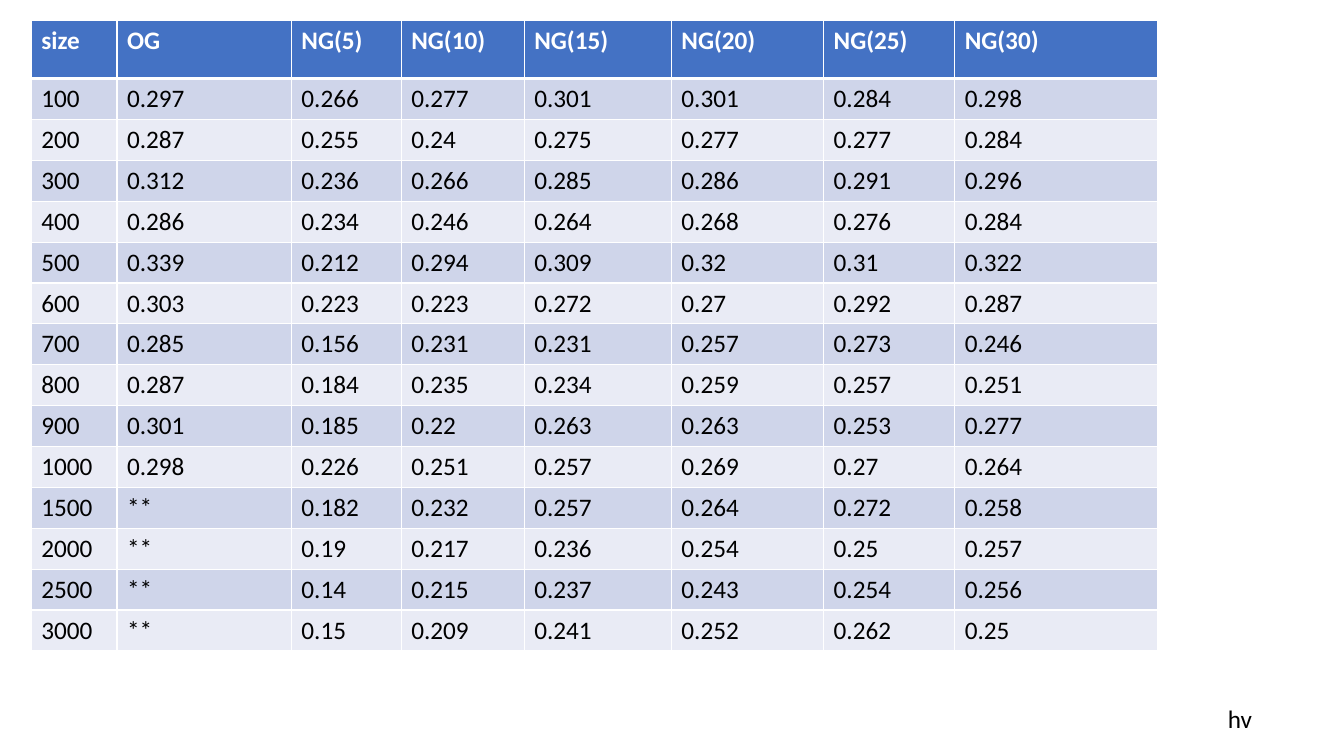
from lxml.etree import SubElement as Sub
from pptx import Presentation as Deck
from pptx.dml.color import RGBColor as Rgb
from pptx.enum.text import MSO_AUTO_SIZE as Fit
from pptx.oxml.ns import qn
from pptx.util import Inches, Pt

HEAD = "size OG NG(5) NG(10) NG(15) NG(20) NG(25) NG(30)"
ROWS = """100 0.297 0.266 0.277 0.301 0.301 0.284 0.298
200 0.287 0.255 0.24 0.275 0.277 0.277 0.284
300 0.312 0.236 0.266 0.285 0.286 0.291 0.296
400 0.286 0.234 0.246 0.264 0.268 0.276 0.284
500 0.339 0.212 0.294 0.309 0.32 0.31 0.322
600 0.303 0.223 0.223 0.272 0.27 0.292 0.287
700 0.285 0.156 0.231 0.231 0.257 0.273 0.246
800 0.287 0.184 0.235 0.234 0.259 0.257 0.251
900 0.301 0.185 0.22 0.263 0.263 0.253 0.277
1000 0.298 0.226 0.251 0.257 0.269 0.27 0.264
1500 ** 0.182 0.232 0.257 0.264 0.272 0.258
2000 ** 0.19 0.217 0.236 0.254 0.25 0.257
2500 ** 0.14 0.215 0.237 0.243 0.254 0.256
3000 ** 0.15 0.209 0.241 0.252 0.262 0.25"""
WIDTHS = [0.85, 1.73, 1.09, 1.22, 1.46, 1.51, 1.3, 2.01]


def color(code):
    return Rgb.from_string(code)


class Page:
    font, size = "Calibri", 18
    white, black, blue = "FFFFFF", "000000", "4472C4"
    bands = ["CFD5EA", "E9EBF5"]

    def __init__(self, slide):
        self.slide = slide

    def text(self, frame, words, ink, bold=False):
        para = frame.paragraphs[0]
        para.text = words
        para.font.name, para.font.size = self.font, Pt(self.size)
        para.font.bold = bold
        para.font.color.rgb = color(ink)

    def edges(self, cell, top, base):
        props = cell._tc.get_or_add_tcPr()
        for side, width in zip("LRTB", (1, 1, top, base)):
            line = Sub(props, qn(f"a:ln{side}"), w=str(Pt(width)))
            fill = Sub(line, qn("a:solidFill"))
            Sub(fill, qn("a:srgbClr"), val=self.white)

    def table(self, left, top, widths, rows, first, rest):
        high = first + rest * (len(rows) - 1)
        grid = self.slide.shapes.add_table(
            len(rows), len(widths), Inches(left), Inches(top),
            Inches(sum(widths)), Inches(high)).table
        grid.horz_banding = False
        for col, width in zip(grid.columns, widths):
            col.width = Inches(width)
        for r, texts in enumerate(rows):
            head = r == 0
            grid.rows[r].height = Inches(first if head else rest)
            for c, words in enumerate(texts):
                cell = grid.cell(r, c)
                self.edges(cell, 3 if r == 1 else 1, 3 if head else 1)
                cell.fill.solid()
                cell.fill.fore_color.rgb = color(
                    self.blue if head else self.bands[(r - 1) % 2])
                self.text(cell.text_frame, words,
                          self.white if head else self.black, head)

    def label(self, left, top, width, height, words):
        frame = self.slide.shapes.add_textbox(
            Inches(left), Inches(top), Inches(width), Inches(height)).text_frame
        frame.word_wrap = False
        frame.auto_size = Fit.SHAPE_TO_FIT_TEXT
        self.text(frame, words, self.black)


def main():
    deck = Deck()
    deck.slide_width, deck.slide_height = Inches(13.33), Inches(7.5)
    page = Page(deck.slides.add_slide(deck.slide_layouts[6]))
    rows = [line.split() for line in [HEAD, *ROWS.splitlines()]]
    page.table(0.31, 0.2, WIDTHS, rows, 0.58, 0.4)
    page.label(12.08, 6.93, 0.44, 0.4, "hv")
    deck.save("out.pptx")


if __name__ == "__main__":
    main()
